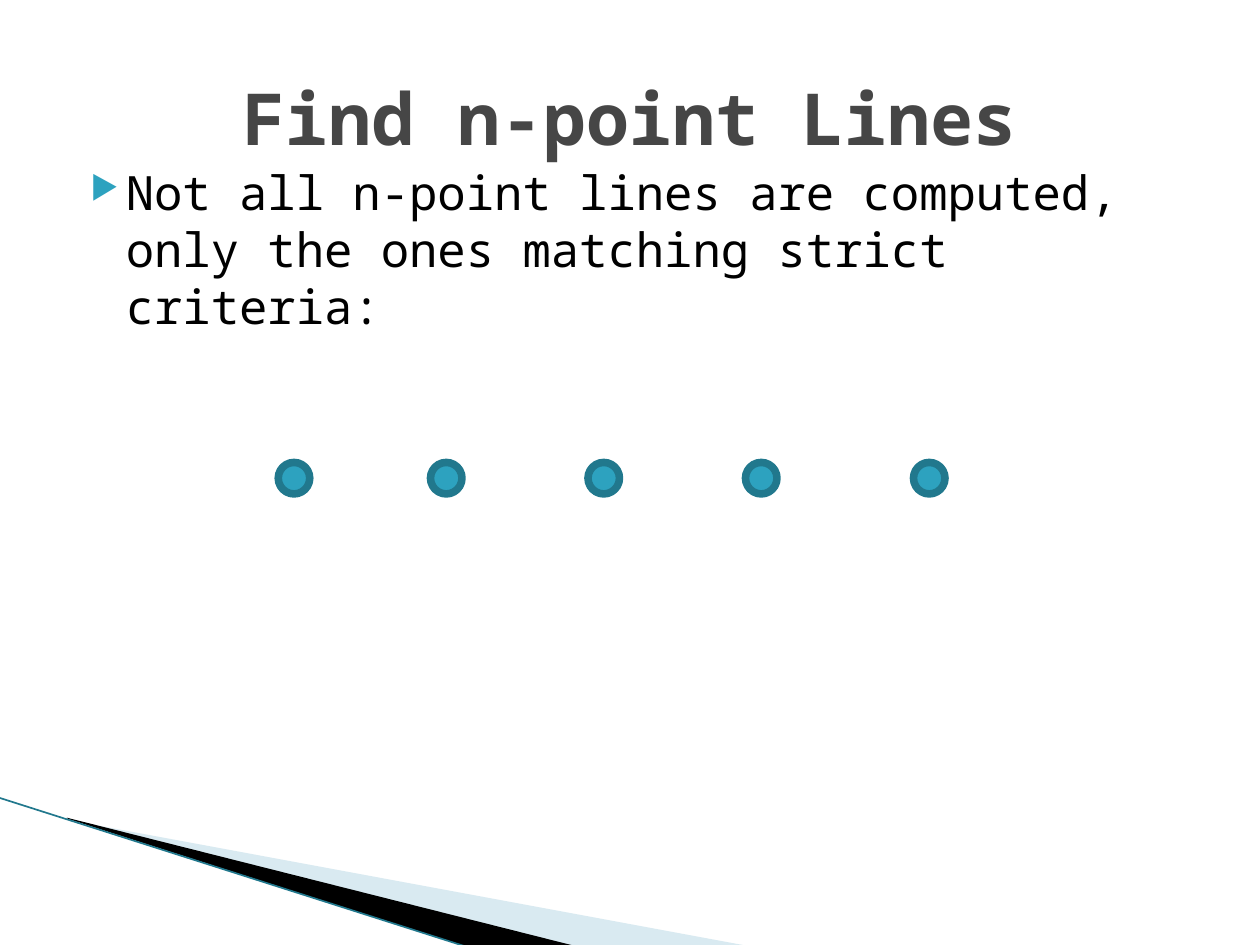
"""Build the slide on n-point lines."""
from lxml import etree
from pptx import Presentation
from pptx.dml.color import RGBColor
from pptx.enum import shapes, text
from pptx.oxml import ns
from pptx.util import Pt

FONT = "Noto Sans Mono"
TITLE = "Find n-point Lines"
BODY = "Not all n-point lines are computed, only the ones matching strict criteria:"
DOTS = [159, 246, 336, 426, 522]
DOT_TOP, DOT_SIZE = 264.25, 18
WEDGES = [
    ("A0CBDC", 40, [(39.6, 468.7), (428.4, 540.7), (328.3, 540.7), (39.6, 468)]),
    ("000000", 100, [(38.2, 467.3), (329, 540.7), (267.8, 541.4), (38.9, 468)]),
]
EDGE = (-0.7, 455.8, 267.8, 541.4)


def rgb(code):
    """Turn a hex string into a colour."""
    return RGBColor.from_string(code)


def sub(node, tag, **attrs):
    """Add a drawing element to a node."""
    return etree.SubElement(node, ns.qn("a:" + tag), attrs)


def paint(shape, code):
    """Fill a shape plainly."""
    shape.shadow.inherit = False
    shape.fill.solid()
    shape.fill.fore_color.rgb = rgb(code)


def write(box, words, size, code, bold=False):
    """Add a text box and return its frame."""
    frame = slide.shapes.add_textbox(*map(Pt, box)).text_frame
    frame.word_wrap = True
    frame.text = words
    font = frame.paragraphs[0].runs[0].font
    font.name, font.size, font.bold = FONT, Pt(size), bold
    font.color.rgb = rgb(code)
    return frame


deck = Presentation()
deck.slide_width, deck.slide_height = Pt(720), Pt(540)
slide = deck.slides.add_slide(deck.slide_layouts[6])

for code, alpha, spots in WEDGES:
    spots = [(Pt(x), Pt(y)) for x, y in spots]
    pen = slide.shapes.build_freeform(*spots[0])
    pen.add_line_segments(spots[1:])
    wedge = pen.convert_to_shape()
    paint(wedge, code)
    wedge.line.fill.background()
    if alpha < 100:
        tint = wedge.fill._xPr.find(".//" + ns.qn("a:srgbClr"))
        sub(tint, "alpha", val=str(alpha * 1000))

edge = slide.shapes.add_connector(shapes.MSO_CONNECTOR.STRAIGHT, *map(Pt, EDGE))
edge.line.color.rgb = rgb("21788D")
edge.line.width = Pt(0.95)
sub(edge._element.spPr, "effectLst")

para = write((36, 90, 648, 75.6), BODY, 27, "000000").paragraphs[0]
para.space_before = Pt(4)
props = para._p.get_or_add_pPr()
props.set("marL", str(Pt(28.8)))
props.set("indent", str(Pt(-20.16)))
sub(sub(props, "buClr"), "srgbClr", val="2DA2BF")
sub(props, "buSzPct", val="68000")
sub(props, "buChar", char="\u25b6")

head = write((36, 21.6, 648, 90), TITLE, 41, "464646", True)
head.vertical_anchor = text.MSO_ANCHOR.MIDDLE
head.paragraphs[0].alignment = text.PP_ALIGN.CENTER

for left in DOTS:
    dot = slide.shapes.add_shape(
        shapes.MSO_SHAPE.FLOWCHART_CONNECTOR,
        Pt(left), Pt(DOT_TOP), Pt(DOT_SIZE), Pt(DOT_SIZE))
    paint(dot, "2DA2BF")
    dot.line.color.rgb = rgb("21788D")
    dot.line.width = Pt(4.33)

deck.save("out.pptx")
